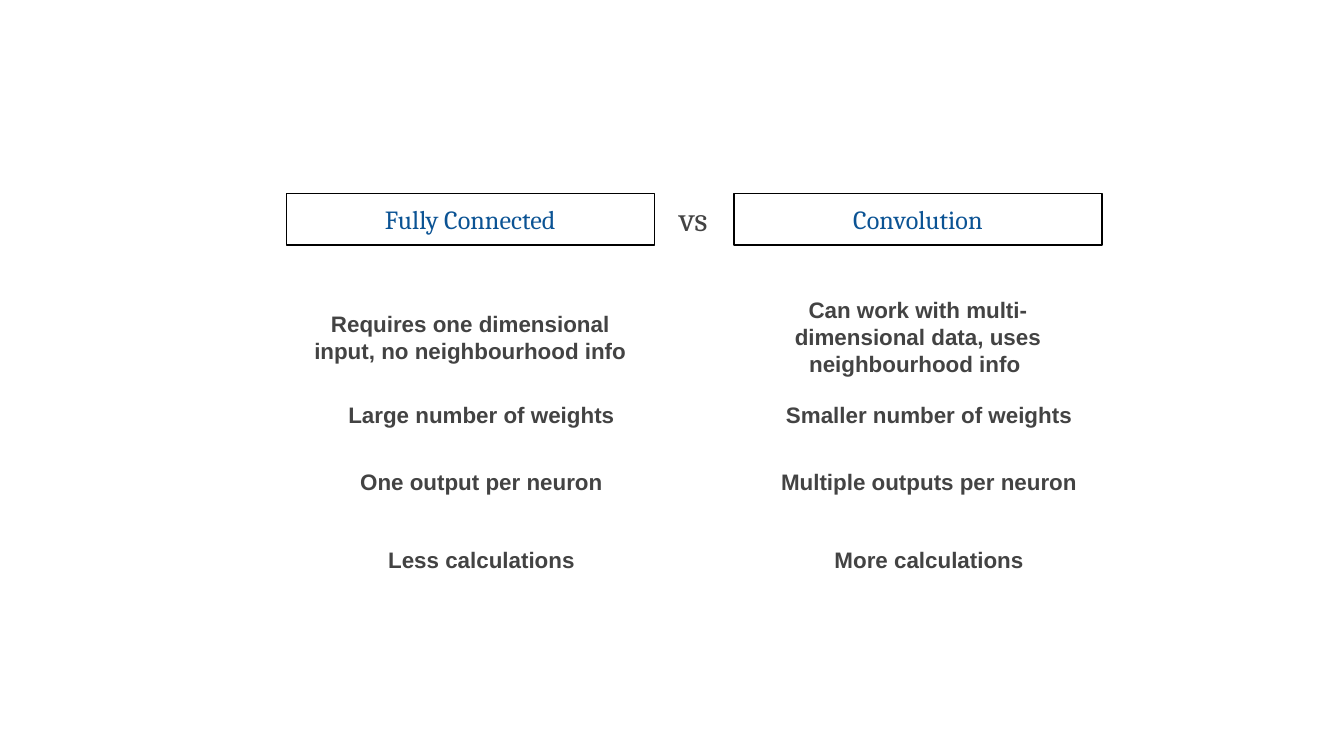
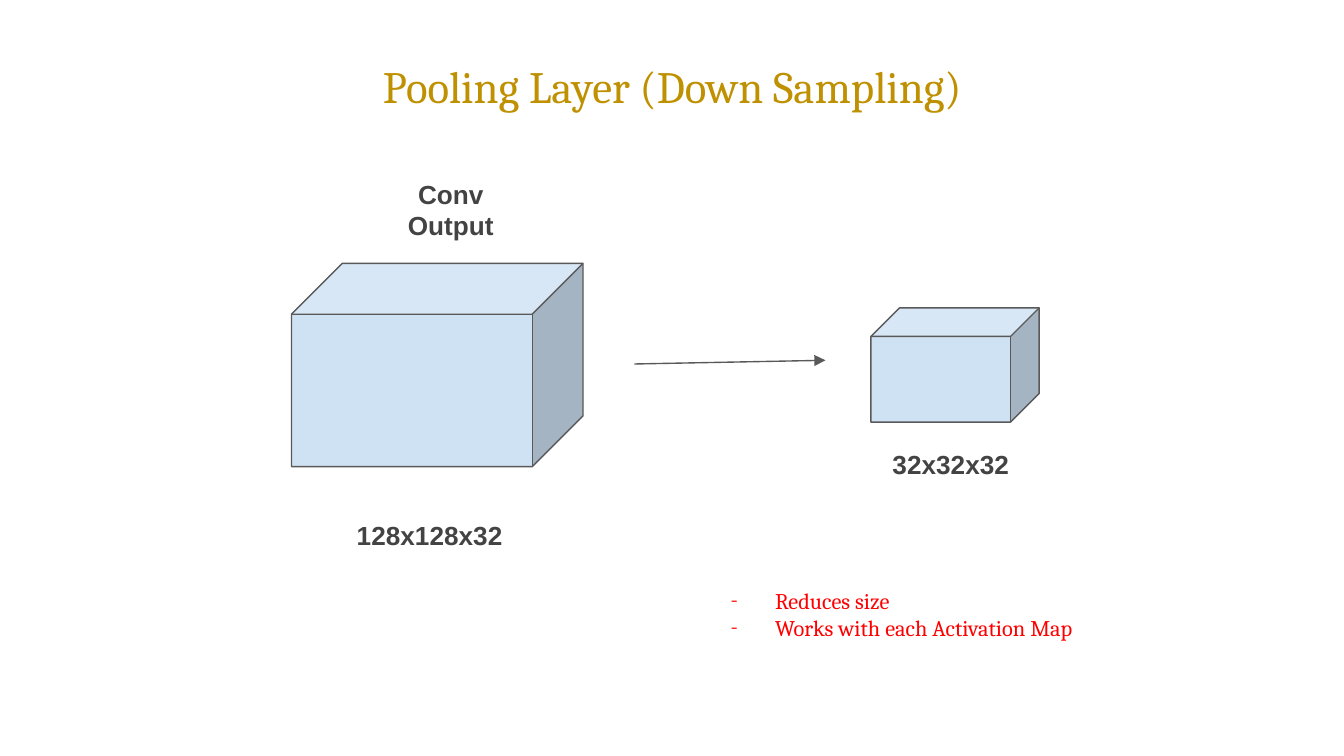
from lxml.etree import SubElement
from pptx import Presentation
from pptx.dml.color import RGBColor
from pptx.enum.shapes import MSO_CONNECTOR, MSO_SHAPE
from pptx.enum.text import MSO_ANCHOR, PP_ALIGN
from pptx.oxml.ns import qn
from pptx.util import Cm, Pt

SERIF, SANS = "Cambria", "Arial"
GREY, BLUE, GOLD, RED = "434343", "0B5394", "BF9000", "FF0000"
OUTLINE, BLACK, PALE_BLUE = "595959", "000000", "CFE2F3"

# Comparison slide: each row is (top, shift right, left text, right text)
HEADINGS = ["Fully Connected", "Convolution"]
COMPARISONS = [
    (5.82, 0, "Requires one dimensional input, no neighbourhood info",
     "Can work with multi-dimensional data, uses neighbourhood info "),
    (7.29, 0.21, "Large number of weights", "Smaller number of weights"),
    (8.56, 0.21, "One output per neuron", "Multiple outputs per neuron"),
    (10.03, 0.21, "Less calculations", "More calculations"),
]
COLUMN_LEFT, COLUMN_STEP, COLUMN_WIDTH = 5.41, 8.46, 6.96

# Pooling slide: positions in centimetres
TITLE = "Pooling Layer (Down Sampling)"
CUBES = [(5.51, 4.98, 5.51, 3.84), (16.46, 5.82, 3.18, 2.16)]
LABELS = [("Conv Output", 6.78, 3.48), ("128x128x32", 6.38, 9.63),
          ("32x32x32", 16.23, 8.28)]
ARROW = (11.99, 6.88, 15.6, 6.81)
EFFECTS = ["Reduces size", "Works with each Activation Map"]


def color(value):
    return RGBColor.from_string(value)


def style_text(para, size, font, ink, bold=False):
    para.font.size = Pt(size)
    para.font.name = font
    para.font.bold = bold
    para.font.color.rgb = color(ink)


def prepare_frame(box, anchor=MSO_ANCHOR.MIDDLE):
    frame = box.text_frame
    frame.word_wrap = True
    frame.vertical_anchor = anchor
    frame.margin_left = frame.margin_right = Cm(0.25)
    frame.margin_top = frame.margin_bottom = Cm(0.25)
    return frame


def write_centred(box, text, *style):
    para = prepare_frame(box).paragraphs[0]
    para.text = text
    para.alignment = PP_ALIGN.CENTER
    style_text(para, *style)
    return para


def add_text(page, place, text, *style):
    box = page.shapes.add_textbox(*map(Cm, place))
    return write_centred(box, text, *style)


def add_outlined(page, kind, place, line, fill=None):
    shape = page.shapes.add_shape(kind, *map(Cm, place))
    shape.shadow.inherit = False
    if fill:
        shape.fill.solid()
        shape.fill.fore_color.rgb = color(fill)
    else:
        shape.fill.background()
    shape.line.color.rgb = color(line)
    shape.line.width = Pt(0.75)
    return shape


def add_arrow(page, ends):
    arrow = page.shapes.add_connector(MSO_CONNECTOR.STRAIGHT, *map(Cm, ends))
    arrow.line.color.rgb = color(OUTLINE)
    arrow.line.width = Pt(0.75)
    properties = arrow.element.spPr
    SubElement(properties.find(qn("a:ln")), qn("a:tailEnd"), type="triangle")
    SubElement(properties, qn("a:effectLst"))


def add_dash(para, ink):
    properties = para._p.get_or_add_pPr()
    properties.set("marL", str(Cm(1.27)))
    properties.set("indent", str(Cm(-0.84)))
    bullet_color = SubElement(properties, qn("a:buClr"))
    SubElement(bullet_color, qn("a:srgbClr"), val=ink)
    SubElement(properties, qn("a:buFont"), typeface=SERIF)
    SubElement(properties, qn("a:buChar"), char="-")


def build_comparison(page):
    add_text(page, (12.37, 3.33, 1.47, 1.6), "vs", 18, SERIF, GREY)
    for column, heading in enumerate(HEADINGS):
        left = COLUMN_LEFT + column * COLUMN_STEP
        box = add_outlined(page, MSO_SHAPE.RECTANGLE,
                           (left, 3.66, COLUMN_WIDTH, 0.97), BLACK)
        write_centred(box, heading, 14, SERIF, BLUE)
        for top, shift, *texts in COMPARISONS:
            add_text(page, (left + shift, top, COLUMN_WIDTH, 1.09),
                     texts[column], 12, SANS, GREY, True)


def build_pooling(page):
    title = add_text(page, (2.62, 1.02, 20.17, 1.19), TITLE, 24, SERIF, GOLD)
    title.space_after = Pt(16)
    for place in CUBES:
        add_outlined(page, MSO_SHAPE.CUBE, place, OUTLINE, PALE_BLUE)
    for text, left, top in LABELS:
        add_text(page, (left, top, 3.48, 0.97), text, 14, SANS, GREY, True)
    add_arrow(page, ARROW)

    box = page.shapes.add_textbox(Cm(13.13), Cm(10.59), Cm(8.79), Cm(1.68))
    frame = prepare_frame(box, MSO_ANCHOR.TOP)
    frame.text = "\n".join(EFFECTS)
    for para in frame.paragraphs:
        add_dash(para, RED)
        style_text(para, 12, SERIF, RED)
    frame.paragraphs[0].line_spacing = 1.5


def main():
    deck = Presentation()
    deck.slide_width, deck.slide_height = Cm(25.4), Cm(14.29)
    for build in (build_comparison, build_pooling):
        build(deck.slides.add_slide(deck.slide_layouts[6]))
    deck.save("out.pptx")


if __name__ == "__main__":
    main()
